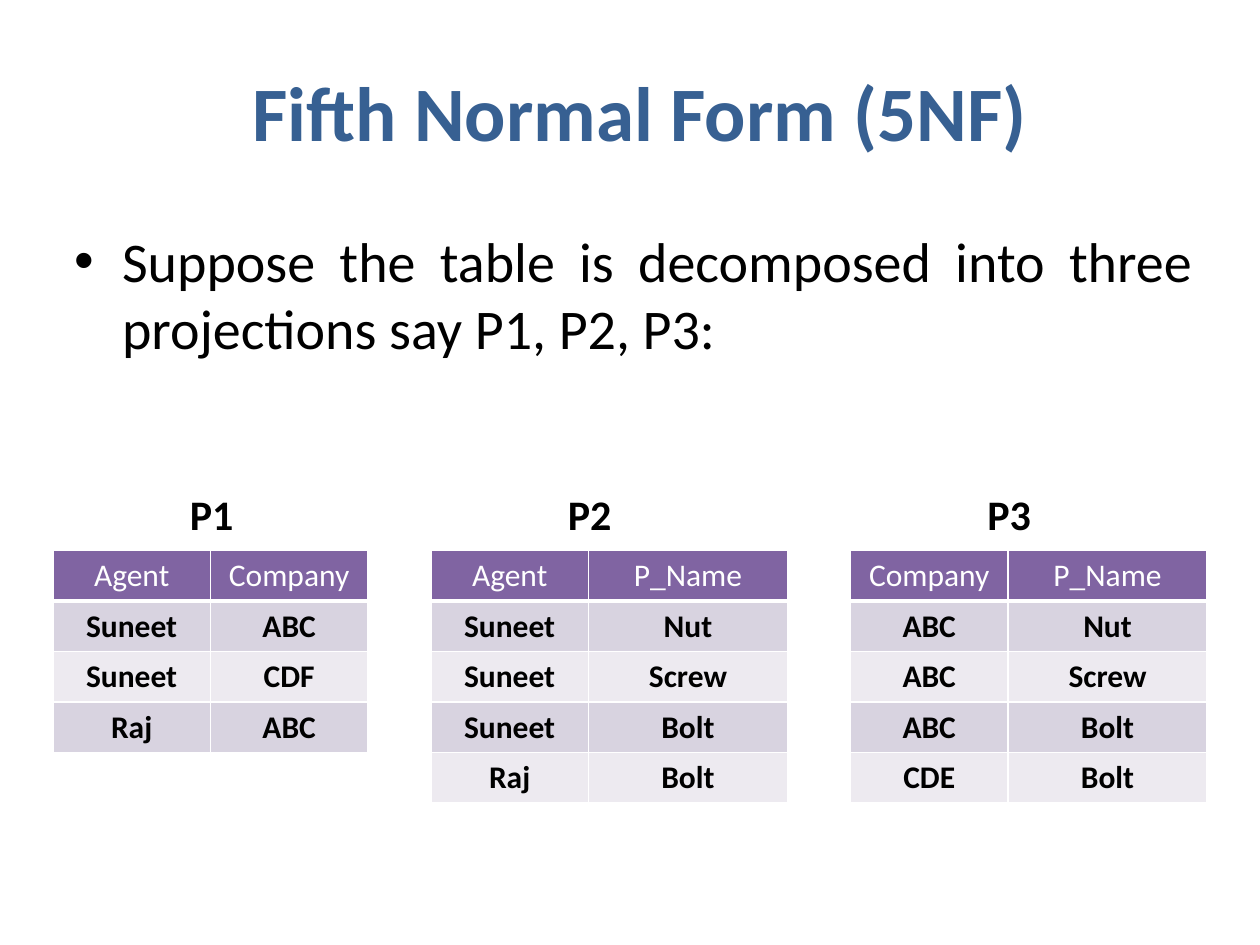
from lxml import etree
from pptx import Presentation
from pptx.dml.color import RGBColor
from pptx.enum.text import MSO_ANCHOR, PP_ALIGN
from pptx.oxml.ns import qn
from pptx.util import Inches, Pt

CENTER, JUSTIFY = PP_ALIGN.CENTER, PP_ALIGN.JUSTIFY
TOP, MIDDLE = MSO_ANCHOR.TOP, MSO_ANCHOR.MIDDLE

BLUE = RGBColor(0x37, 0x60, 0x92)
PURPLE = RGBColor(0x80, 0x64, 0xA2)
BANDS = (RGBColor(0xD8, 0xD3, 0xE0), RGBColor(0xED, 0xEA, 0xF0))
WHITE = RGBColor(0xFF, 0xFF, 0xFF)
BLACK = RGBColor(0x00, 0x00, 0x00)

FONT = "Calibri"
TABLE_TOP = 4.37
ROW_HEIGHT = 0.4
KEY_WIDTH = 1.25
LABEL_TOP, LABEL_HEIGHT = 3.83, 0.52

PROJECTIONS = (
    ("P1", 0.42, 1.25, 0.8, (
        ("Agent", "Company"),
        ("Suneet", "ABC"),
        ("Suneet", "CDF"),
        ("Raj", "ABC"),
    )),
    ("P2", 3.42, 1.58, 0.64, (
        ("Agent", "P_Name"),
        ("Suneet", "Nut"),
        ("Suneet", "Screw"),
        ("Suneet", "Bolt"),
        ("Raj", "Bolt"),
    )),
    ("P3", 6.75, 1.58, 0.64, (
        ("Company", "P_Name"),
        ("ABC", "Nut"),
        ("ABC", "Screw"),
        ("ABC", "Bolt"),
        ("CDE", "Bolt"),
    )),
)


def write(frame, text, size=18, color=BLACK, bold=False, align=CENTER, anchor=TOP):
    frame.word_wrap = True
    frame.vertical_anchor = anchor
    paragraph = frame.paragraphs[0]
    paragraph.alignment = align
    run = paragraph.add_run()
    run.text = text
    run.font.name = FONT
    run.font.size = Pt(size)
    run.font.bold = bold
    run.font.color.rgb = color
    return paragraph


def add_title(slide, text):
    title = slide.shapes.title
    title.left, title.top = Inches(0.58), Inches(0.25)
    title.width, title.height = Inches(9), Inches(1.25)
    write(title.text_frame, text, size=44, color=BLUE, bold=True, anchor=MIDDLE)


def add_text(slide, text, left, top, width, height, **style):
    box = slide.shapes.add_textbox(*map(Inches, (left, top, width, height)))
    return write(box.text_frame, text, **style)


def add_bullet(paragraph, indent):
    properties = paragraph._p.get_or_add_pPr()
    properties.set("marL", str(Inches(indent)))
    properties.set("indent", str(-Inches(indent)))
    etree.SubElement(properties, qn("a:buFont"), typeface="Arial")
    etree.SubElement(properties, qn("a:buChar"), char="•")


def add_borders(cell, bottom_width):
    properties = cell._tc.get_or_add_tcPr()
    for side, width in (("L", 1), ("R", 1), ("T", 1), ("B", bottom_width)):
        line = etree.SubElement(properties, qn(f"a:ln{side}"), w=str(Pt(width)))
        fill = etree.SubElement(line, qn("a:solidFill"))
        etree.SubElement(fill, qn("a:srgbClr"), val=str(WHITE))


def add_projection(slide, label, left, value_width, label_width, rows):
    widths = (KEY_WIDTH, value_width)
    frame = slide.shapes.add_table(
        len(rows), len(widths), Inches(left), Inches(TABLE_TOP),
        Inches(sum(widths)), Inches(ROW_HEIGHT * len(rows)))
    table = frame.table
    for column, width in zip(table.columns, widths):
        column.width = Inches(width)
    for row_index, values in enumerate(rows):
        header = row_index == 0
        table.rows[row_index].height = Inches(ROW_HEIGHT)
        for column_index, value in enumerate(values):
            cell = table.cell(row_index, column_index)
            add_borders(cell, 3 if header else 1)
            cell.fill.solid()
            cell.fill.fore_color.rgb = PURPLE if header else BANDS[(row_index - 1) % 2]
            write(cell.text_frame, value, color=WHITE if header else BLACK, bold=not header)
    add_text(slide, label, left + KEY_WIDTH - label_width / 2 + 0.01, LABEL_TOP,
             label_width, LABEL_HEIGHT, size=24, bold=True)


def main():
    presentation = Presentation()
    presentation.slide_width, presentation.slide_height = Inches(10), Inches(7.5)
    slide = presentation.slides.add_slide(presentation.slide_layouts[5])
    add_title(slide, "Fifth Normal Form (5NF)")
    statement = add_text(
        slide, "Suppose the table is decomposed into three projections say P1, P2, P3:",
        0.49, 1.75, 9.08, 1.25, size=32, align=JUSTIFY)
    add_bullet(statement, 0.38)
    for projection in PROJECTIONS:
        add_projection(slide, *projection)
    presentation.save("out.pptx")


if __name__ == "__main__":
    main()
